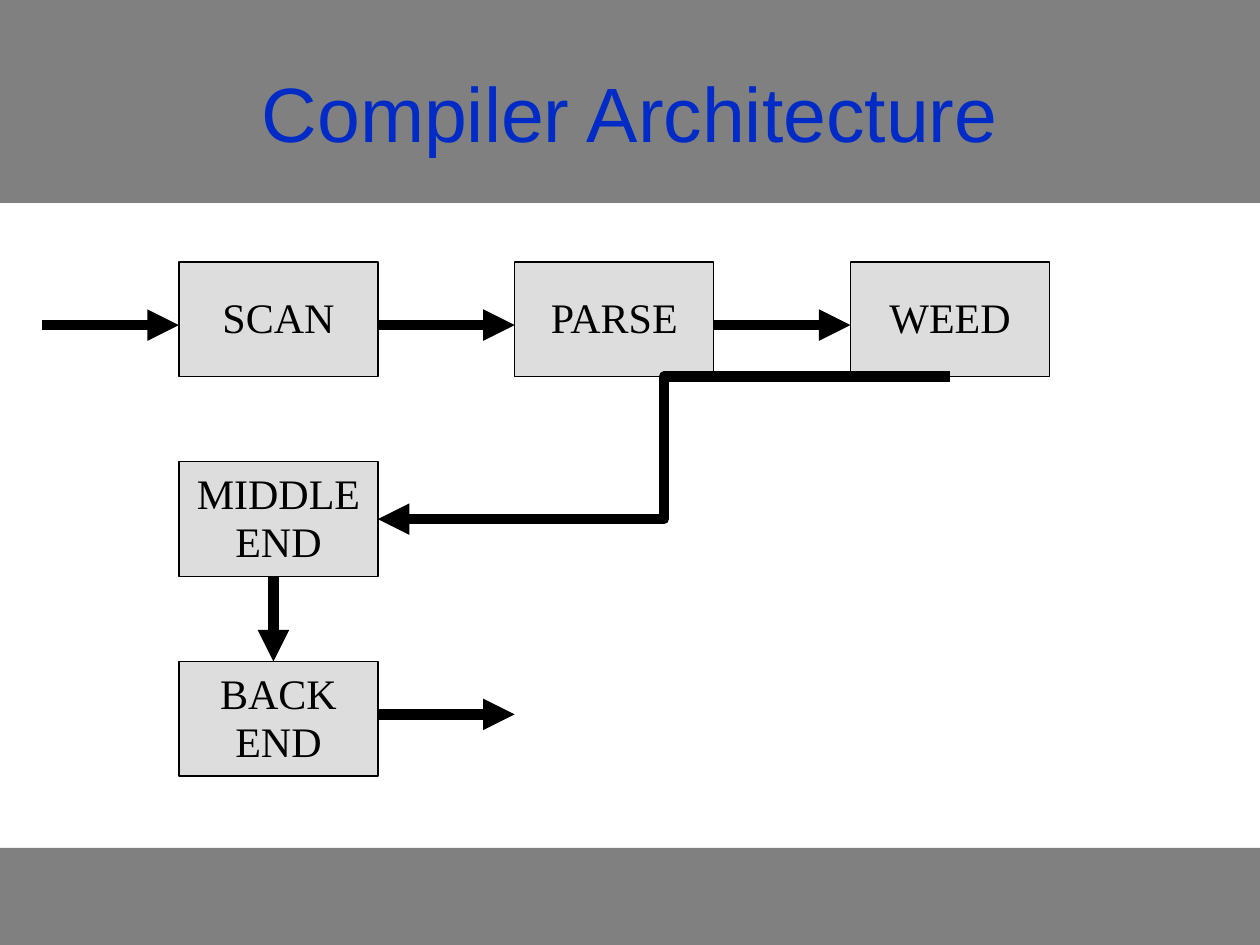
from lxml.etree import SubElement
from pptx import Presentation
from pptx.dml.color import RGBColor
from pptx.enum.shapes import MSO_CONNECTOR, MSO_SHAPE
from pptx.enum.text import MSO_ANCHOR, PP_ALIGN
from pptx.oxml.ns import qn
from pptx.util import Inches, Pt

WIDTH, HEIGHT = 10, 7.5
LEFT, TOP = 1.42, 2.08
COLUMN_STEP, ROW_STEP = 2.665, 1.585
STAGE_WIDTH, STAGE_HEIGHT = 1.58, 0.91
ARROW_LENGTH = COLUMN_STEP - STAGE_WIDTH
ARROW_DROP = 0.5

STAGES = [
    ("SCAN", 0, 0),
    ("MIDDLE END", 0, 1),
    ("BACK END", 0, 2),
    ("WEED", 2, 0),
    ("PARSE", 1, 0),
]


def color(hex_code):
    return RGBColor.from_string(hex_code)


def column_left(column):
    return LEFT + column * COLUMN_STEP


def row_top(row):
    return TOP + row * ROW_STEP


def write(shape, text, *, font, size, ink):
    frame = shape.text_frame
    frame.word_wrap = True
    frame.vertical_anchor = MSO_ANCHOR.MIDDLE
    paragraph = frame.paragraphs[0]
    paragraph.alignment = PP_ALIGN.CENTER
    paragraph.line_spacing = 0.95
    run = paragraph.add_run()
    run.text = text
    run.font.name = font
    run.font.size = Pt(size)
    run.font.color.rgb = color(ink)


def add_panel(slide, left, top, width, height, fill, outline=None):
    panel = slide.shapes.add_shape(
        MSO_SHAPE.RECTANGLE, *map(Inches, (left, top, width, height)))
    panel.shadow.inherit = False
    panel.fill.solid()
    panel.fill.fore_color.rgb = color(fill)
    if outline:
        panel.line.color.rgb = color(outline)
        panel.line.width = Pt(0.74)
    else:
        panel.line.fill.background()
    return panel


def add_title(slide, text):
    title = slide.shapes.add_textbox(
        *map(Inches, (0.05 * WIDTH, 0.04 * HEIGHT, 0.9 * WIDTH, 1.25)))
    write(title, text, font="Arial", size=44, ink="002BC6")


def add_stage(slide, label, column, row):
    stage = add_panel(slide, column_left(column), row_top(row),
                      STAGE_WIDTH, STAGE_HEIGHT, "DDDDDD", "000000")
    write(stage, label, font="Times New Roman", size=24, ink="000000")


def add_arrow(slide, start, end, kind=MSO_CONNECTOR.STRAIGHT):
    arrow = slide.shapes.add_connector(kind, *map(Inches, (*start, *end)))
    arrow.line.color.rgb = color("000000")
    arrow.line.width = Pt(6)
    SubElement(arrow.line._get_or_add_ln(), qn("a:tailEnd"), type="triangle")
    SubElement(arrow._element.spPr, qn("a:effectLst"))


def add_arrow_into(slide, column, row, drop=ARROW_DROP):
    tip, level = column_left(column), row_top(row) + drop
    add_arrow(slide, (tip - ARROW_LENGTH, level), (tip, level))


def main():
    presentation = Presentation()
    presentation.slide_width = Inches(WIDTH)
    presentation.slide_height = Inches(HEIGHT)
    slide = presentation.slides.add_slide(presentation.slide_layouts[6])

    for top, height in ((0, 1.61), (6.73, 0.77)):
        add_panel(slide, 0, top, WIDTH, height, "808080")
    add_title(slide, "Compiler Architecture")

    for stage in STAGES:
        add_stage(slide, *stage)

    for column in range(3):
        add_arrow_into(slide, column, 0)
    add_arrow_into(slide, 1, 2, drop=0.42)
    add_arrow(slide, (2.17, row_top(1) + STAGE_HEIGHT), (2.17, row_top(2)))
    add_arrow(slide,
              (column_left(2) + STAGE_WIDTH / 2, row_top(0) + STAGE_HEIGHT),
              (LEFT + STAGE_WIDTH, row_top(1) + STAGE_HEIGHT / 2),
              MSO_CONNECTOR.ELBOW)

    presentation.save("out.pptx")


main()
